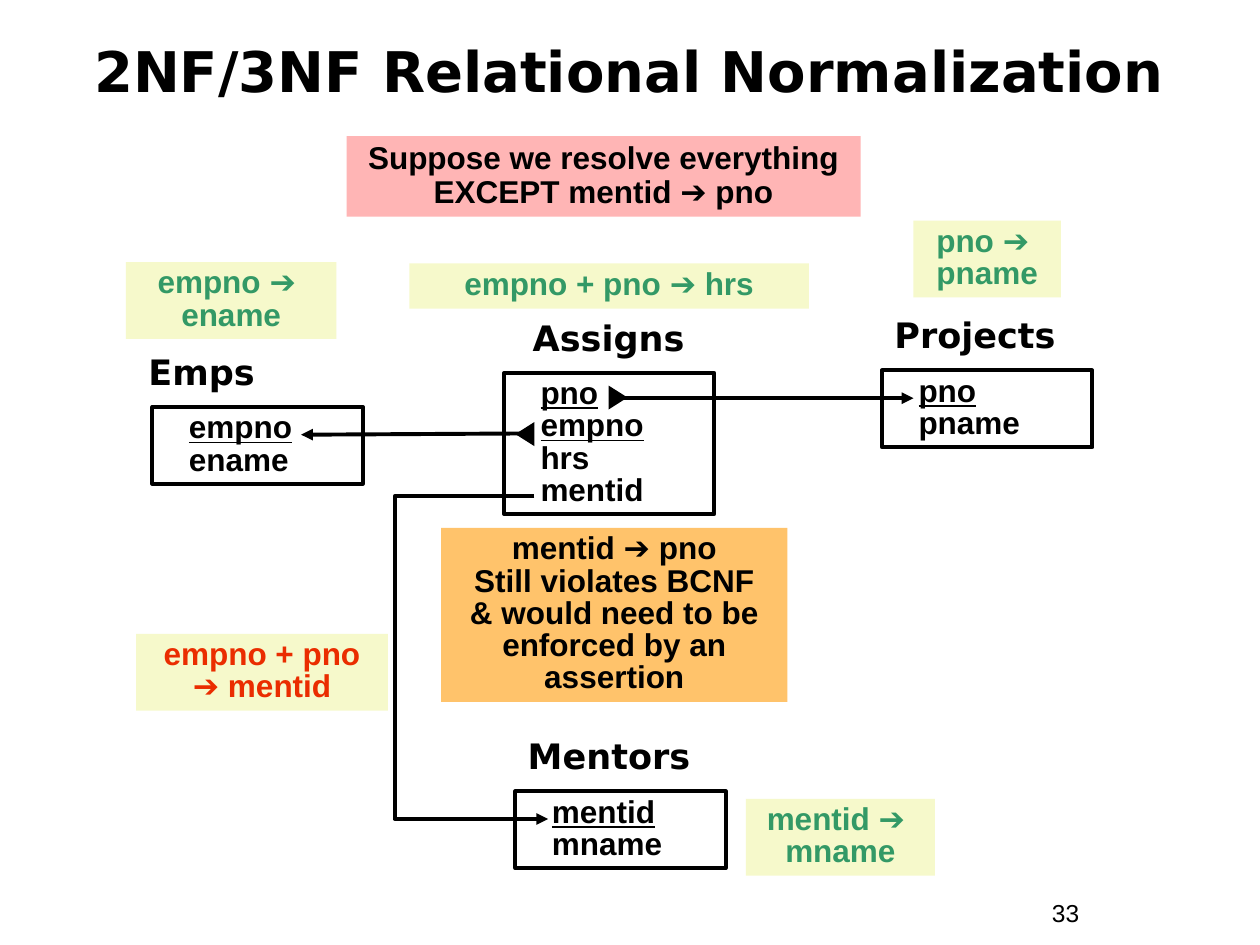
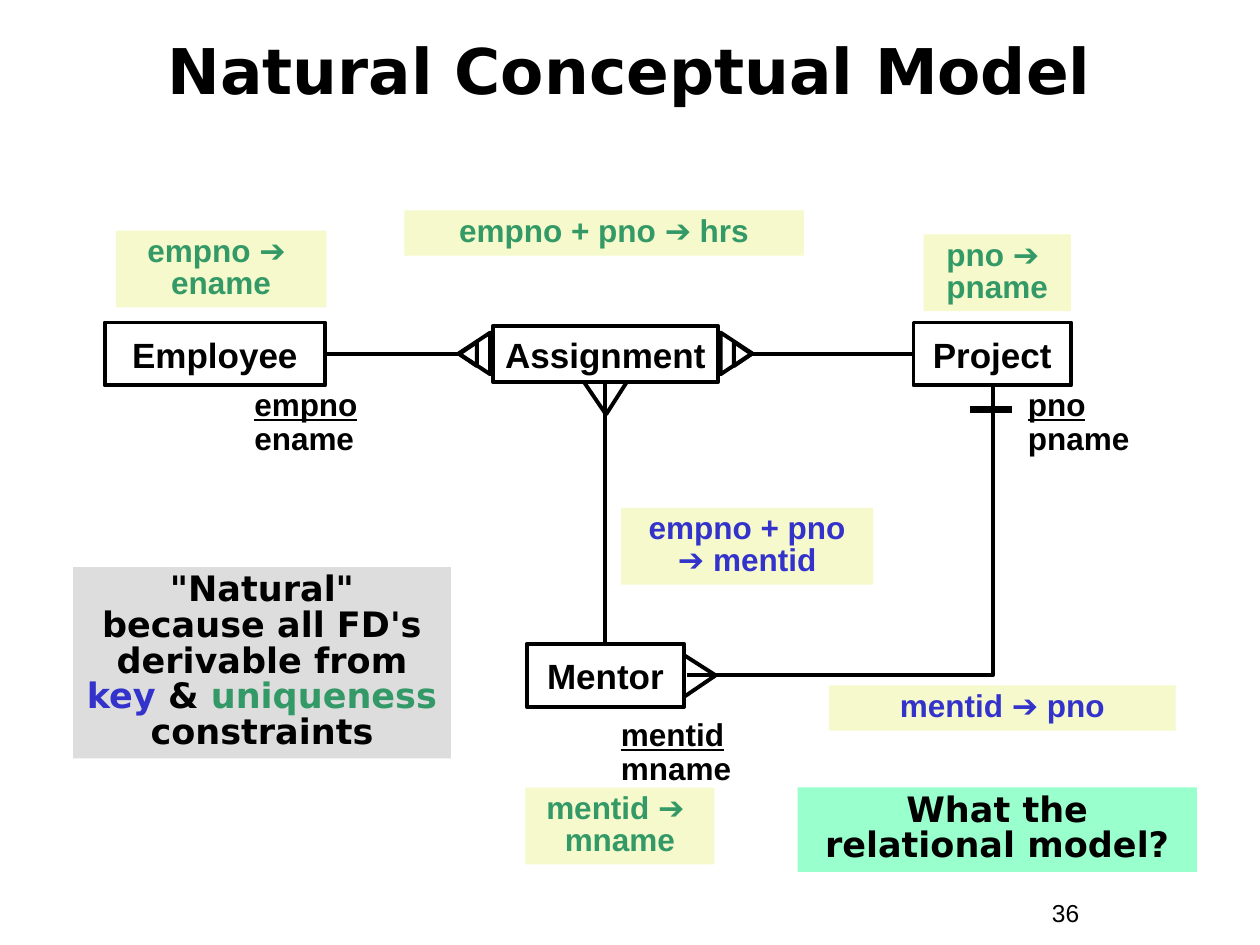
from lxml import etree
from pptx import Presentation
from pptx.dml.color import RGBColor
from pptx.enum.shapes import MSO_CONNECTOR, MSO_SHAPE
from pptx.enum.text import MSO_ANCHOR, MSO_AUTO_SIZE, PP_ALIGN
from pptx.oxml.ns import qn
from pptx.util import Inches, Pt

BLACK = RGBColor(0x00, 0x00, 0x00)
GREEN = RGBColor(0x33, 0x99, 0x66)
BLUE = RGBColor(0x33, 0x33, 0xCC)
RED = RGBColor(0xEA, 0x2D, 0x00)
CREAM = RGBColor(0xF6, 0xF9, 0xCB)
PINK = RGBColor(0xFF, 0xB5, 0xB5)
AMBER = RGBColor(0xFF, 0xC3, 0x6B)
GREY = RGBColor(0xDD, 0xDD, 0xDD)
MINT = RGBColor(0x99, 0xFF, 0xCC)

RECT = MSO_SHAPE.RECTANGLE
WEDGE = MSO_SHAPE.ISOSCELES_TRIANGLE
STRAIGHT, ELBOW = MSO_CONNECTOR.STRAIGHT, MSO_CONNECTOR.ELBOW
LEFT, CENTER = PP_ALIGN.LEFT, PP_ALIGN.CENTER
TOP, MIDDLE = MSO_ANCHOR.TOP, MSO_ANCHOR.MIDDLE
NO_FIT = MSO_AUTO_SIZE.NONE
SANS, HEAD = "Arial", "DejaVu Sans"
NORTH, WEST, SOUTH, EAST = range(4)

RULES = {
    "emp": ("empno ➔ \nename", 1.67, 0.61),
    "hrs": ("empno + pno ➔ hrs", 3.17, 0.36),
    "proj": ("pno ➔ \npname", 1.17, 0.61),
    "ment": ("mentid ➔ \nmname", 1.5, 0.61),
    "team": ("empno + pno\n➔ mentid", 2, 0.61),
    "lead": ("mentid ➔ pno", 2.75, 0.36),
}

NORMAL = {
    "title": ("2NF/3NF Relational Normalization", 32),
    "page": "33",
    "rules": [
        ("emp", 1, 2.08, GREEN), ("hrs", 3.25, 2.09, GREEN),
        ("proj", 7.25, 1.75, GREEN), ("ment", 5.92, 6.34, GREEN),
        ("team", 1.08, 5.03, RED),
    ],
    "notes": [
        ([["Suppose we resolve everything EXCEPT mentid ➔ pno"]],
         (2.75, 1.08, 4.08, 0.64), PINK, SANS, 18, 0.9),
        ([["mentid ➔ pno\nStill violates BCNF\n"
           "& would need to be enforced by an assertion"]],
         (3.5, 4.19, 2.75, 1.38), AMBER, SANS, 18, 0.85),
    ],
}

TABLES = [
    ("Emps", 1.08, 1.21, 3.23, ["empno"], ["ename"]),
    ("Assigns", 4.13, 4, 2.96, ["pno", "empno"], ["hrs", "mentid"]),
    ("Projects", 7, 7, 2.94, ["pno"], ["pname"]),
    ("Mentors", 4.09, 4.09, 6.28, ["mentid"], ["mname"]),
]
TABLE_W, ROW_H, PAD_H = 1.67, 0.255, 0.1

NATURAL = {
    "title": ("Natural Conceptual Model", 36),
    "page": "36",
    "rules": [
        ("emp", 0.92, 1.83, GREEN), ("hrs", 3.21, 1.67, GREEN),
        ("proj", 7.33, 1.86, GREEN), ("ment", 4.17, 6.25, GREEN),
        ("team", 4.93, 4.03, BLUE), ("lead", 6.58, 5.44, BLUE),
    ],
    "notes": [
        ([["\"Natural\" because all FD's derivable from ", ("key", BLUE), " & ",
           ("uniqueness", GREEN), " constraints"]],
         (0.58, 4.5, 3, 1.52), GREY, HEAD, 20, 0.85),
        ([["What the relational model?"]],
         (6.33, 6.25, 3.17, 0.67), MINT, HEAD, 20, 0.85),
    ],
}

NODES = {
    "Employee": (0.83, 2.56, 1.75, 0.5),
    "Assignment": (3.91, 2.59, 1.79, 0.44),
    "Project": (7.25, 2.56, 1.25, 0.5),
    "Mentor": (4.18, 5.11, 1.25, 0.5),
}
FIELDS = [
    ("empno", "ename", 1.92, 3.04),
    ("pno", "pname", 8.06, 3.04),
    ("mentid", "mname", 4.83, 5.66),
]
FEET = [
    ((5.68, 5.36), [(5.43, 5.2), (5.43, 5.53)]),
    ((4.81, 3.29), [(4.97, 3.04), (4.64, 3.04)]),
]
WEDGES = [
    (5.68, 2.68, 0.33, 0.25, 90), (5.8, 2.74, 0.19, 0.14, 90),
    (3.6, 2.68, 0.33, 0.25, 270), (3.62, 2.74, 0.19, 0.14, 270),
]


def write(shape, paras, size, face=SANS, bold=True, color=BLACK,
          align=LEFT, space=None, keys=0, anchor=TOP, wrap=True):
    frame = shape.text_frame
    frame.word_wrap = wrap
    frame.auto_size = NO_FIT
    frame.vertical_anchor = anchor
    for i, parts in enumerate(paras):
        para = frame.add_paragraph() if i else frame.paragraphs[0]
        para.alignment = align
        if space:
            para.line_spacing = space
        font = para.font
        font.name, font.size, font.bold = face, Pt(size), bold
        font.color.rgb = color
        font.underline = i < keys
        if len(parts) == 1:
            para.text = parts[0]
            continue
        for part in parts:
            text, tint = (part, color) if isinstance(part, str) else part
            run = para.add_run()
            run.text = text
            run.font.color.rgb = tint


def draw(slide, kind, box, fill=None, edge=True, turn=0):
    shape = slide.shapes.add_shape(kind, *map(Inches, box))
    shape.shadow.inherit = False
    shape.rotation = turn
    if fill is None:
        shape.fill.background()
    else:
        shape.fill.solid()
        shape.fill.fore_color.rgb = fill
    if edge:
        shape.line.color.rgb = BLACK
        shape.line.width = Pt(2.25)
    else:
        shape.line.fill.background()
    return shape


def link(slide, start, end, kind=STRAIGHT, width=2.25, arrow=False):
    line = slide.shapes.add_connector(kind, *map(Inches, start + end))
    line.line.color.rgb = BLACK
    line.line.width = Pt(width)
    props = line._element.spPr
    if arrow:
        etree.SubElement(props.find(qn("a:ln")), qn("a:tailEnd"), type="triangle")
    etree.SubElement(props, qn("a:effectLst"))
    return line


def label(slide, paras, box, size, **style):
    write(slide.shapes.add_textbox(*map(Inches, box)), paras, size, **style)


def start(deck, plan):
    slide = deck.slides.add_slide(deck.slide_layouts[5])
    text, size = plan["title"]
    title = slide.shapes.title
    title.left, title.top, title.width, title.height = map(
        Inches, (0.33, 0.14, 9.33, 0.92))
    write(title, [[text]], size, face=HEAD, align=CENTER, space=0.85, anchor=MIDDLE)
    label(slide, [[plan["page"]]], (8.25, 7.08, 0.92, 0.34), 14, bold=False)
    for name, x, y, color in plan["rules"]:
        text, w, h = RULES[name]
        box = draw(slide, RECT, (x, y, w, h), CREAM, edge=False)
        write(box, [[text]], 18, color=color, align=CENTER, space=0.85)
    for paras, place, fill, face, size, space in plan["notes"]:
        box = draw(slide, RECT, place, fill, edge=False)
        write(box, paras, size, face=face, align=CENTER, space=space)
    return slide


def normal(deck):
    slide = start(deck, NORMAL)
    for name, left, x, y, keys, rest in TABLES:
        label(slide, [[name]], (left, y - 0.5, 1.67, 0.44), 20, face=HEAD)
        rows = [[row] for row in keys + rest]
        box = draw(slide, RECT, (x, y, TABLE_W, PAD_H + ROW_H * len(rows)))
        box.text_frame.margin_left = Inches(0.29)
        write(box, rows, 18, space=0.85, keys=len(keys))
    link(slide, (4.85, 3.16), (7.25, 3.16), arrow=True)
    link(slide, (4.23, 3.44), (2.39, 3.45), arrow=True)
    tail, tip, bend = (4.24, 3.94), (4.35, 6.5), 3.13
    line = link(slide, tail, tip, ELBOW, arrow=True)
    ratio = round((bend - tail[0]) / (tip[0] - tail[0]) * 100000)
    geom = line._element.spPr.find(qn("a:prstGeom"))
    guides = geom.get_or_add_avLst()
    etree.SubElement(guides, qn("a:gd"), name="adj1", fmla=f"val {ratio}")
    draw(slide, WEDGE, (4.81, 3.08, 0.19, 0.15), BLACK, edge=False, turn=90)
    draw(slide, WEDGE, (4.07, 3.37, 0.19, 0.15), BLACK, edge=False, turn=270)


def natural(deck):
    slide = start(deck, NATURAL)
    nodes = {}
    for name, place in NODES.items():
        nodes[name] = draw(slide, RECT, place)
        write(nodes[name], [[name]], 20, align=CENTER, anchor=MIDDLE, wrap=False)
    for key, rest, x, y in FIELDS:
        label(slide, [[key], [rest]], (x, y, 1.17, 0.64), 18, space=0.9, keys=1)
    link(slide, (2.58, 2.81), (3.65, 2.81)).begin_connect(nodes["Employee"], EAST)
    link(slide, (7.25, 2.81), (5.97, 2.81)).begin_connect(nodes["Project"], WEST)
    line = link(slide, (4.8, 3.03), (4.8, 5.11))
    line.begin_connect(nodes["Assignment"], SOUTH)
    line.end_connect(nodes["Mentor"], NORTH)
    line = link(slide, (5.45, 5.36), (7.88, 3.07), ELBOW)
    line._element.spPr.find(qn("a:prstGeom")).set("prst", "bentConnector2")
    for tip, toes in FEET:
        for toe in toes:
            link(slide, tip, toe)
    for *place, turn in WEDGES:
        draw(slide, WEDGE, place, turn=turn)
    link(slide, (8.03, 3.25), (7.7, 3.25), width=4.5)


def main():
    deck = Presentation()
    deck.slide_width, deck.slide_height = Inches(10), Inches(7.5)
    normal(deck)
    natural(deck)
    deck.save("out.pptx")


if __name__ == "__main__":
    main()
